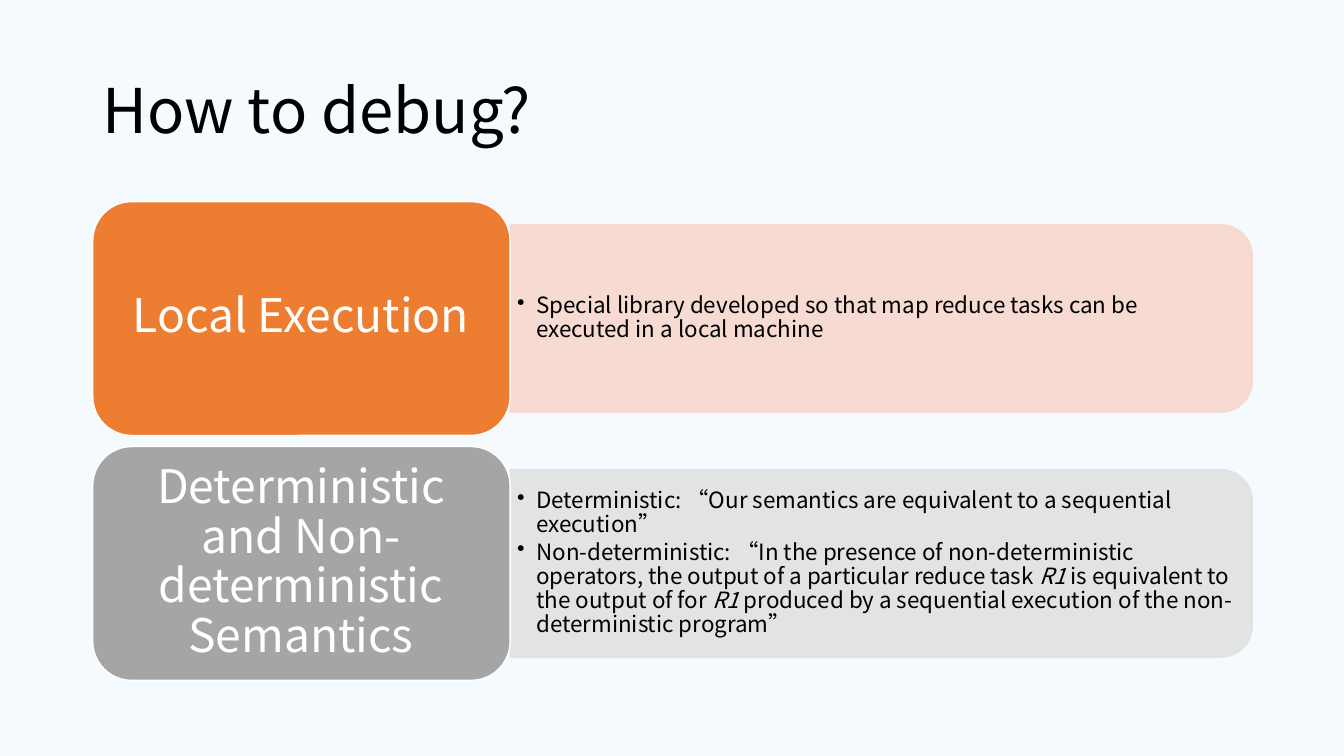
from lxml import etree
from pptx import Presentation
from pptx import util as u
from pptx.dml.color import RGBColor
from pptx.enum import shapes, text
from pptx.oxml.ns import qn

ROWS = [
    ("Local Execution", "ED7D31", "F8D7CE",
     ["Special library developed so that map reduce tasks can be executed "
      "in a local machine"]),
    ("Deterministic and Non-deterministic Semantics", "A5A5A5", "E1E1E1",
     ["Deterministic: “Our semantics are equivalent to a sequential execution”",
      "Non-deterministic: “In the presence of non-deterministic operators, "
      "the output of a particular reduce task *R1* is equivalent to the output "
      "of for *R1* produced by a sequential execution of the "
      "non-deterministic program”"]),
]
TOP, STEP = 2, 2.43


def rgb(code):
    return RGBColor.from_string(code)


def write(frame, paras, font, size, color="000000", align=text.PP_ALIGN.LEFT,
          pad=(0.1, 0.05), after=0, bullet=False):
    """Fill a text frame; words between asterisks are italic."""
    frame.word_wrap = True
    frame.auto_size = text.MSO_AUTO_SIZE.NONE
    frame.vertical_anchor = text.MSO_ANCHOR.MIDDLE
    frame.margin_left = frame.margin_right = u.Inches(pad[0])
    frame.margin_top = frame.margin_bottom = u.Inches(pad[1])
    for n, words in enumerate(paras):
        para = frame.add_paragraph() if n else frame.paragraphs[0]
        para.alignment = align
        para.line_spacing = 0.9
        para.space_before, para.space_after = u.Pt(0), u.Pt(after)
        if bullet:
            props = para._p.get_or_add_pPr()
            props.set("marL", str(u.Inches(0.19)))
            props.set("indent", str(u.Inches(-0.19)))
            etree.SubElement(props, qn("a:buChar"), char="•")
        for k, part in enumerate(words.split("*")):
            run = para.add_run()
            run.text = part
            run.font.size = u.Pt(size)
            run.font.italic = k % 2 == 1
            run.font.color.rgb = rgb(color)
            run.font.name = font
            etree.SubElement(run._r.get_or_add_rPr(), qn("a:ea"), typeface=font)


class Deck:
    font = "Noto Sans CJK SC"

    def __init__(self):
        self.prs = Presentation()
        self.prs.slide_width = u.Inches(13.33)
        self.prs.slide_height = u.Inches(7.5)
        self.slide = self.prs.slides.add_slide(self.prs.slide_layouts[5])
        fill = self.slide.background.fill
        fill.solid()
        fill.fore_color.rgb = rgb("F5FAFF")

    def title(self, words, box):
        shape = self.slide.shapes.title
        shape.left, shape.top, shape.width, shape.height = map(u.Inches, box)
        write(shape.text_frame, [words], self.font, 44)

    def shape(self, kind, box, fill, line, alpha=None, turn=0):
        item = self.slide.shapes.add_shape(kind, *map(u.Inches, box))
        item.shadow.inherit = False
        item.rotation = turn
        item.fill.solid()
        item.fill.fore_color.rgb = rgb(fill)
        item.line.color.rgb = rgb(line)
        item.line.width = u.Pt(1)
        if alpha:
            for color in item._element.spPr.iter(qn("a:srgbClr")):
                etree.SubElement(color, qn("a:alpha"), val=str(alpha * 1000))

    def label(self, paras, box, **style):
        item = self.slide.shapes.add_textbox(*map(u.Inches, box))
        write(item.text_frame, paras, self.font, **style)

    def row(self, top, head, dark, pale, points):
        """Draw a heading card with its panel of points to the right."""
        kind = shapes.MSO_SHAPE
        self.shape(kind.ROUND_2_SAME_RECTANGLE, (7.81, top - 2.52, 1.86, 7.36),
                   pale, pale, alpha=90, turn=90)
        self.label(points, (5.06, top + 0.32, 7.27, 1.68), size=16,
                   pad=(0.07, 0.03), after=2.4, bullet=True)
        self.shape(kind.ROUNDED_RECTANGLE, (0.92, top, 4.14, 2.32),
                   dark, "FFFFFF")
        self.label([head], (1.03, top + 0.11, 3.91, 2.09), size=33,
                   color="FFFFFF", align=text.PP_ALIGN.CENTER,
                   pad=(0.14, 0.07), after=11.5)


def main():
    deck = Deck()
    deck.title("How to debug?", (0.92, 0.4, 11.5, 1.45))
    for n, row in enumerate(ROWS):
        deck.row(TOP + n * STEP, *row)
    deck.prs.save("out.pptx")


if __name__ == "__main__":
    main()
